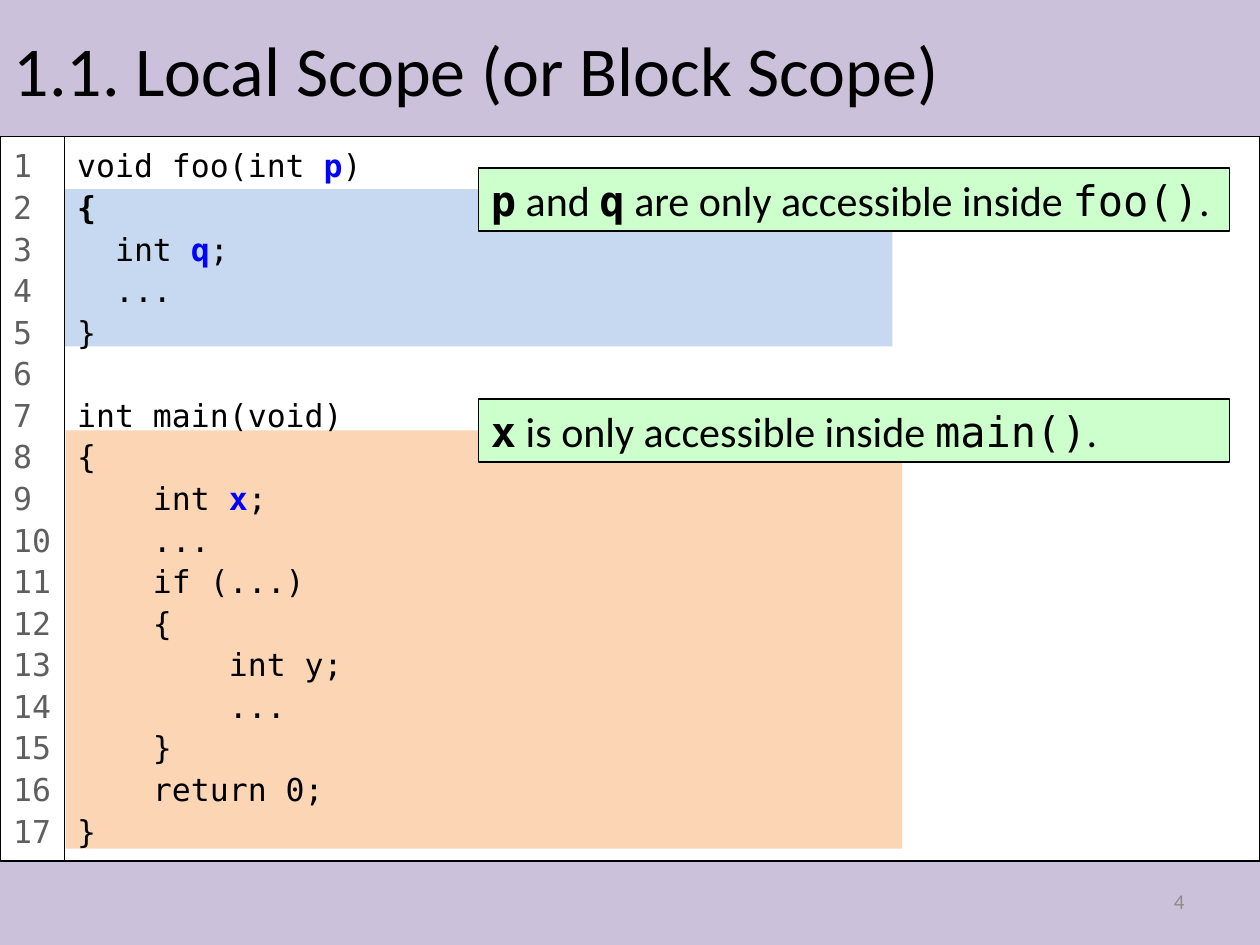
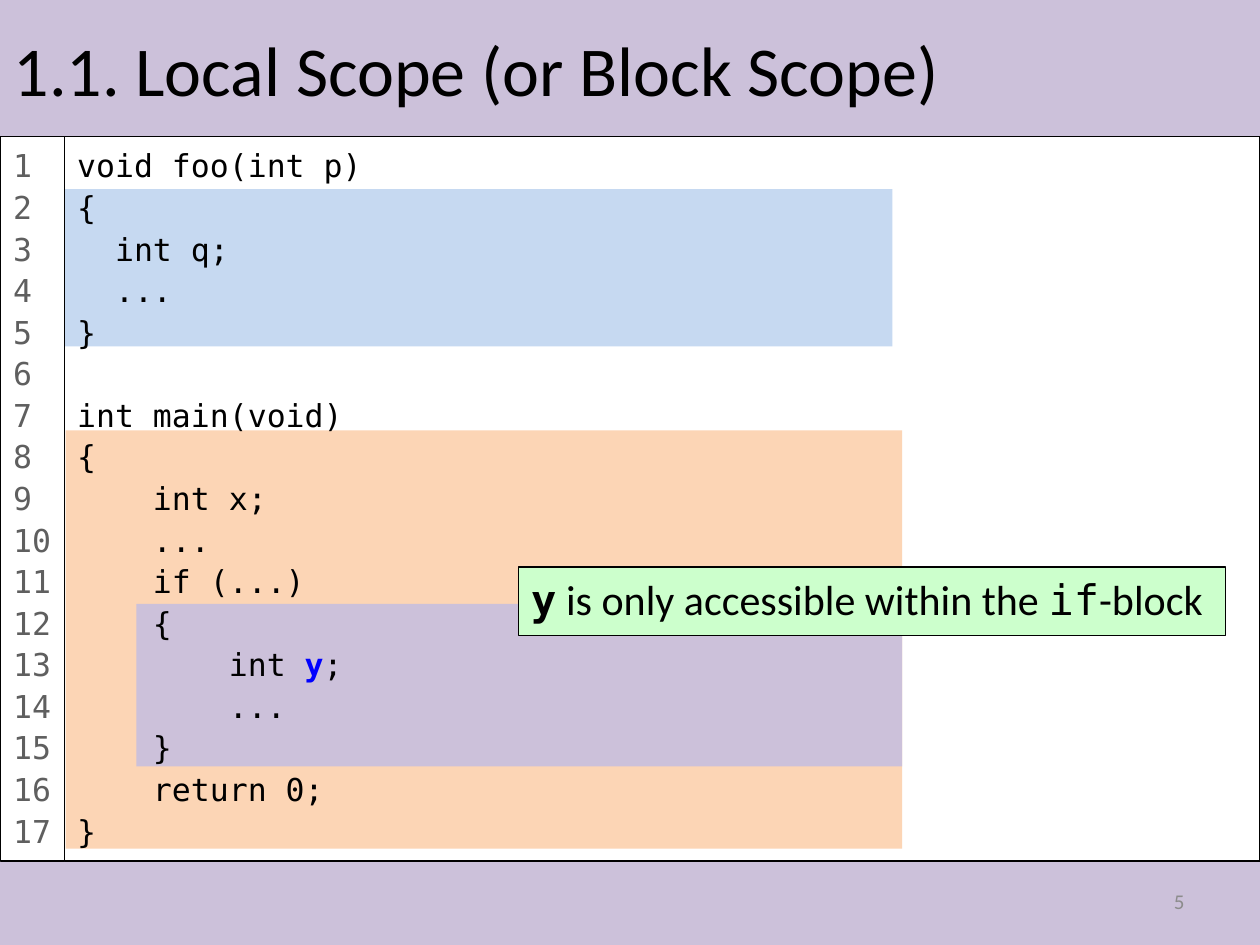
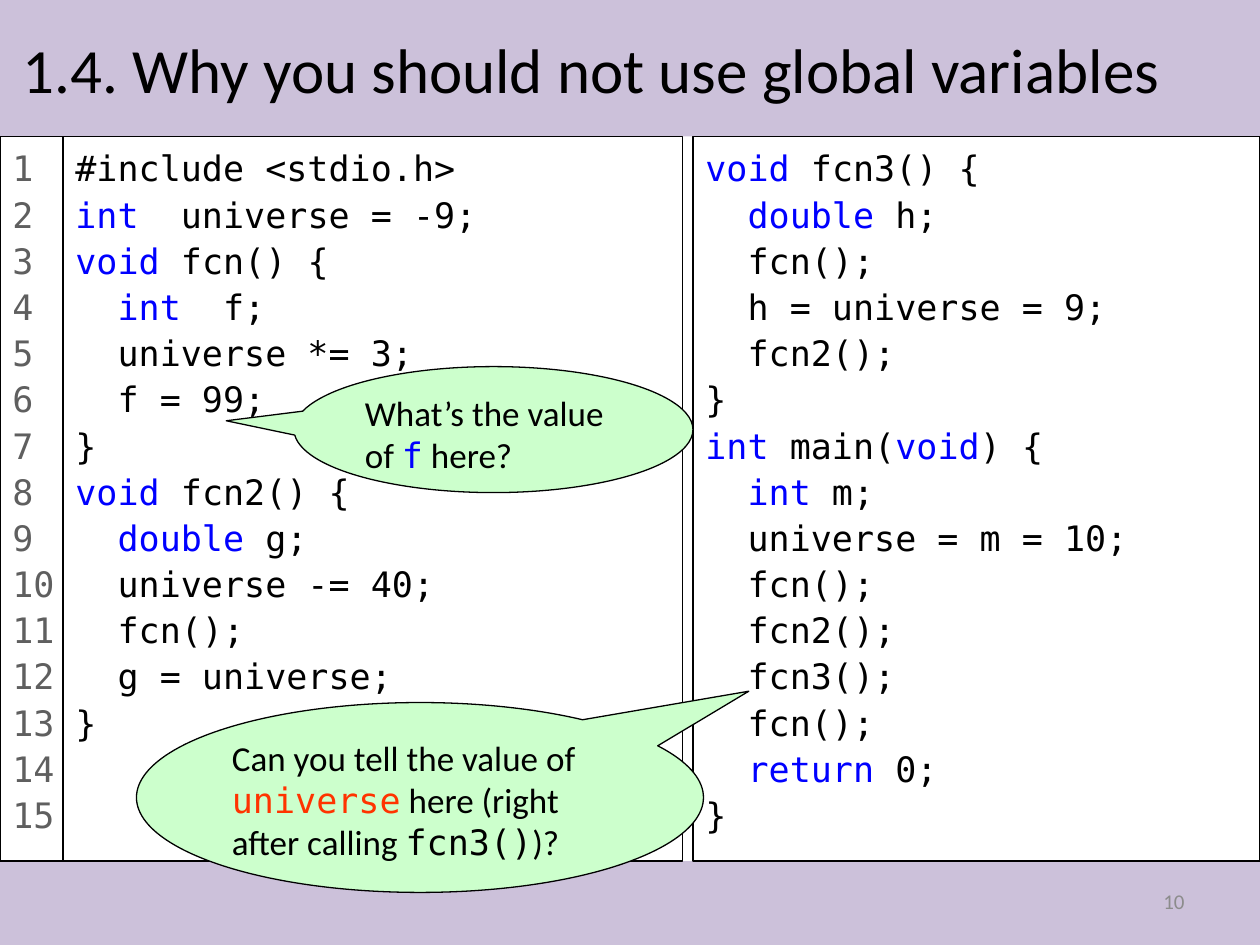
import dataclasses

import lxml.etree
import pptx
import pptx.dml.color
import pptx.enum.shapes
import pptx.enum.text
import pptx.oxml.ns
import pptx.util

Pt = pptx.util.Pt
RGB = pptx.dml.color.RGBColor.from_string
SHAPE = pptx.enum.shapes.MSO_SHAPE
ANCHOR = pptx.enum.text.MSO_ANCHOR
ALIGN = pptx.enum.text.PP_ALIGN


@dataclasses.dataclass(frozen=True)
class Theme:
    width: int = 720
    height: int = 540
    band_h: int = 78
    body_h: int = 414
    sans: str = "Calibri"
    mono: str = "DejaVu Sans Mono"
    black: str = "000000"
    white: str = "FFFFFF"
    lavender: str = "CCC1DA"
    orange: str = "FCD5B5"
    blue: str = "C6D9F1"
    green: str = "CCFFCC"
    keyword: str = "0000FF"
    warning: str = "FF3300"
    line_no: str = "5F5F5F"
    page_no: str = "8C8C8C"
    title: int = 40
    long_title: int = 36
    note: int = 24
    code: int = 18
    big_code: int = 20
    footer: int = 12
    code_spacing: float = 1.1


T = Theme()
MONO = {"font": T.mono}
STRONG = {"font": T.mono, "bold": True}
KEYWORD = {"font": T.mono, "color": T.keyword}
VARIABLE = {**KEYWORD, "bold": True}
WARNING = {"font": T.mono, "color": T.warning}


def format_run(r, text, size, font=T.sans, color=T.black, bold=False):
    r.text = text
    r.font.size = Pt(size)
    r.font.name = font
    r.font.bold = bold
    r.font.color.rgb = RGB(color)


def write(tf, paragraphs, size, align=ALIGN.LEFT, spacing=None,
          anchor=ANCHOR.TOP, right=7.2, **base):
    tf.word_wrap = True
    tf.vertical_anchor = anchor
    tf.margin_left, tf.margin_right = Pt(7.2), Pt(right)
    tf.margin_top = tf.margin_bottom = Pt(3.6)
    for i, runs in enumerate(paragraphs):
        p = tf.add_paragraph() if i else tf.paragraphs[0]
        p.alignment = align
        p.line_spacing = spacing
        for text, style in runs:
            format_run(p.add_run(), text, size, **{**base, **style})
        if not runs:
            end = p._p.get_or_add_endParaRPr()
            end.set("sz", str(size * 100))
            latin = lxml.etree.SubElement(end, pptx.oxml.ns.qn("a:latin"))
            latin.set("typeface", base.get("font", T.sans))


def mark(line, styles):
    for word, style in styles.items():
        head, found, tail = line.partition(word)
        if found:
            return mark(head, styles) + [(word, style)] + mark(tail, styles)
    return [(line, {})] if line else []


def mark_all(source, styles):
    return [mark(line, styles) for line in source.strip("\n").split("\n")]


class Deck:
    def __init__(self):
        self.prs = pptx.Presentation()
        self.prs.slide_width = Pt(T.width)
        self.prs.slide_height = Pt(T.height)
        self.s = None

    def slide(self, number):
        self.s = self.prs.slides.add_slide(self.prs.slide_layouts[6])
        footer_y = T.band_h + T.body_h
        self.box(0, 0, T.width, T.band_h, T.lavender)
        self.box(0, footer_y, T.width, T.height - footer_y, T.lavender)
        self.label(516, 500.5, 168, 28.8, str(number), T.footer,
                   align=ALIGN.RIGHT, color=T.page_no)

    def box(self, x, y, w, h, fill=None, line=None, kind=SHAPE.RECTANGLE):
        sp = self.s.shapes.add_shape(kind, Pt(x), Pt(y), Pt(w), Pt(h))
        sp.shadow.inherit = False
        if fill:
            sp.fill.solid()
            sp.fill.fore_color.rgb = RGB(fill)
        else:
            sp.fill.background()
        if line:
            sp.line.color.rgb = RGB(line)
            sp.line.width = Pt(0.75)
        else:
            sp.line.fill.background()
        return sp

    def label(self, x, y, w, h, text, size, **style):
        sp = self.s.shapes.add_textbox(Pt(x), Pt(y), Pt(w), Pt(h))
        write(sp.text_frame, [[(text, {})]], size, anchor=ANCHOR.MIDDLE, **style)

    def title(self, text, size=T.title, x=0.72):
        self.label(x, 0, T.width - x, T.band_h, text, size)

    def code(self, x, w, lines, size, fill=None, **style):
        sp = self.box(x, T.band_h, w, T.body_h, fill, T.black)
        write(sp.text_frame, lines, size, spacing=T.code_spacing,
              font=T.mono, **style)

    def line_numbers(self, x, w, count, size):
        numbers = [[(str(n), {})] for n in range(1, count + 1)]
        self.code(x, w, numbers, size, T.white, right=0, color=T.line_no)

    def note(self, x, y, w, h, runs):
        sp = self.box(x, y, w, h, T.green, T.black)
        write(sp.text_frame, [runs], T.note)

    def balloon(self, x, y, w, h, tip, runs):
        sp = self.box(x, y, w, h, T.green, T.black, SHAPE.OVAL_CALLOUT)
        for i, value in enumerate(tip):
            sp.adjustments[i] = value
        write(sp.text_frame, [runs], T.big_code)


SCOPES = """
void foo(int p)
{
  int q;
  ...
}

int main(void)
{
    int x;
    ...
    if (...)
    {
        int y;
        ...
    }
    return 0;
}
"""

GLOBALS_LEFT = """
#include <stdio.h>
int  universe = -9;
void fcn() {
  int  f;
  universe *= 3;
  f = 99;
}
void fcn2() {
  double g;
  universe -= 40;
  fcn();
  g = universe;
}
"""

GLOBALS_RIGHT = """
void fcn3() {
  double h;
  fcn();
  h = universe = 9;
  fcn2();
}
int main(void) {
  int m;
  universe = m = 10;
  fcn();
  fcn2();
  fcn3();
  fcn();
  return 0;
}
"""


def scope_slide(deck, number, lines, if_block=False):
    deck.slide(number)
    deck.box(37.5, 246, 478, 239, T.orange)
    if if_block:
        deck.box(78, 345, 437.5, 93, T.lavender)
    deck.box(37, 108, 473, 90, T.blue)
    deck.code(37, 683, lines, T.code)
    deck.line_numbers(0.5, 36.5, len(lines), T.code)
    deck.title("1.1. Local Scope (or Block Scope)")


def main():
    deck = Deck()

    lines = mark_all(SCOPES, dict.fromkeys("pqx", VARIABLE))
    lines[1] = [("{", STRONG)]
    scope_slide(deck, 4, lines)
    deck.note(273.5, 96, 429, 36, [
        ("p", STRONG), (" and ", {}), ("q", STRONG),
        (" are only accessible inside ", {}), ("foo()", MONO), (".", {})])
    deck.note(273.5, 228, 429, 36, [
        ("x", STRONG), (" is only accessible inside ", {}),
        ("main()", MONO), (".", {})])

    scope_slide(deck, 5, mark_all(SCOPES, {"y": VARIABLE}), if_block=True)
    deck.note(296.5, 324, 404, 39, [
        ("y", STRONG), (" is only accessible within the ", {}),
        ("if", MONO), ("-block", {})])

    keywords = dict.fromkeys(("void", "int", "double", "return"), KEYWORD)
    deck.slide(10)
    deck.title("1.4. Why you should not use global variables", T.long_title, 6)
    deck.code(36, 354, mark_all(GLOBALS_LEFT, keywords), T.big_code, T.white)
    deck.line_numbers(0, 36, 15, T.big_code)
    deck.code(396, 324, mark_all(GLOBALS_RIGHT, keywords), T.big_code, T.white)
    deck.balloon(78, 401.5, 324, 108.5, (0.58, -0.56), [
        ("Can you tell the value of ", {}), ("universe", WARNING),
        (" here (right after calling ", {}), ("fcn3()", MONO), (")?", {})])
    deck.balloon(168, 209.5, 228, 72, (-0.67, -0.07), [
        ("What’s the value of ", {}), ("f", KEYWORD), (" here?", {})])

    deck.prs.save("out.pptx")


if __name__ == "__main__":
    main()
